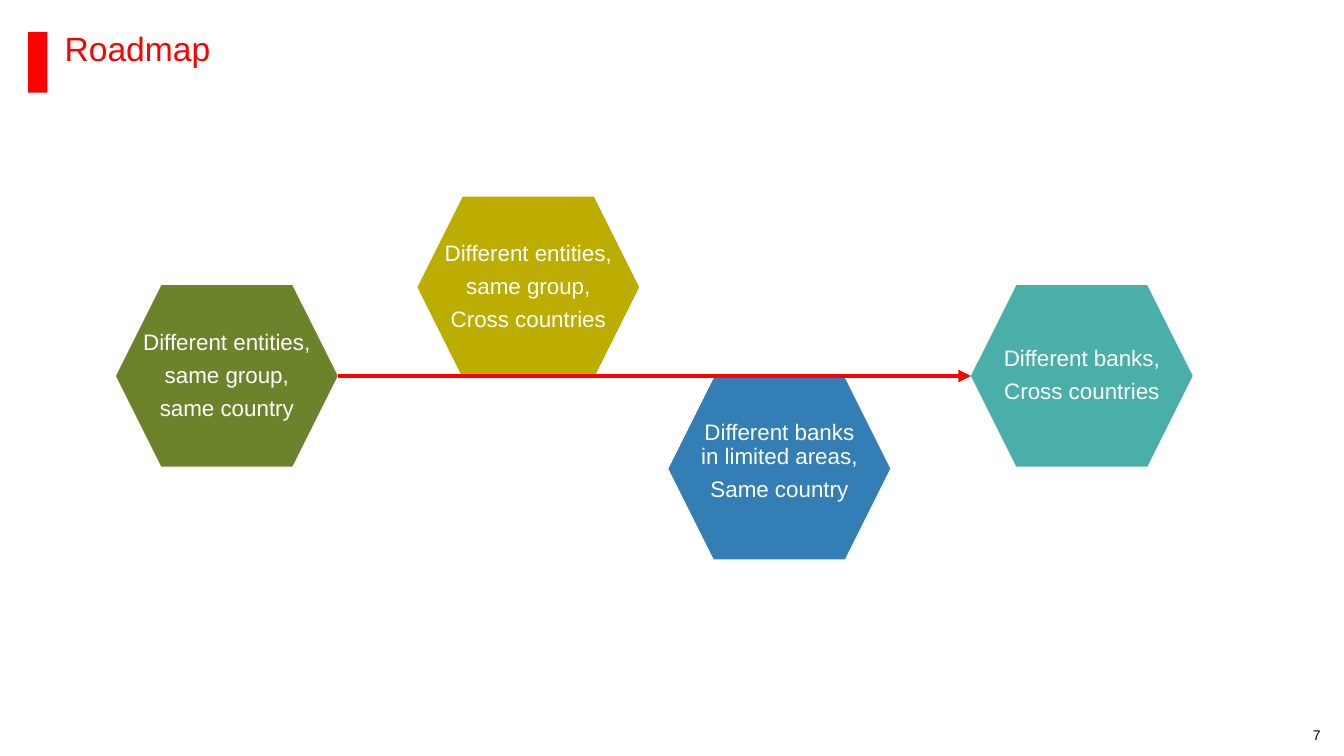
"""Build the Roadmap slide: four hexagon stages along a red arrow."""
from lxml.etree import SubElement
from pptx import Presentation
from pptx.dml.color import RGBColor
from pptx.enum.shapes import MSO_CONNECTOR, MSO_SHAPE
from pptx.enum.text import MSO_ANCHOR, PP_ALIGN
from pptx.oxml.ns import qn
from pptx.util import Inches, Pt

COLORS = {
    "red": "FF0000", "green": "6C832B", "teal": "4BAFA9", "blue": "337FB5",
    "olive": "BCAD00", "white": "FFFFFF", "black": "000000",
}
HEXAGON_WIDTH, HEXAGON_HEIGHT = 2.2, 1.8
LABEL_WIDTH, LABEL_HEIGHT = 1.68, 1.24
ARROW_Y = 3.73

STAGES = [
    ("green", 1.15, 2.83, 0.28, ["Different entities,", "same group,", "same country"]),
    ("teal", 9.63, 2.83, 0.28, ["Different banks,", "Cross countries"]),
    ("blue", 6.63, 3.75, 0.21, ["Different banks in limited areas,", "Same country"]),
    ("olive", 4.14, 1.95, 0.28, ["Different entities,", "same group,", "Cross countries"]),
]


def add_filled_shape(shapes, kind, color, left, top, width, height):
    shape = shapes.add_shape(kind, Inches(left), Inches(top), Inches(width), Inches(height))
    shape.shadow.inherit = False
    shape.fill.solid()
    shape.fill.fore_color.rgb = RGBColor.from_string(COLORS[color])
    shape.line.fill.background()


def add_text(shapes, lines, left, top, width, height, size, color,
             align=PP_ALIGN.CENTER, anchor=MSO_ANCHOR.MIDDLE,
             inset_top=0, inset_bottom=0, spacing=0.9, space_after=0, wrap=True):
    box = shapes.add_textbox(Inches(left), Inches(top), Inches(width), Inches(height))
    frame = box.text_frame
    frame.word_wrap = wrap
    frame.vertical_anchor = anchor
    frame.margin_left = frame.margin_right = 0
    frame.margin_top = Inches(inset_top)
    frame.margin_bottom = Inches(inset_bottom)
    for index, line in enumerate(lines):
        paragraph = frame.add_paragraph() if index else frame.paragraphs[0]
        paragraph.alignment = align
        paragraph.line_spacing = spacing
        paragraph.space_after = Pt(space_after)
        run = paragraph.add_run()
        run.text = line
        run.font.name = "Arial"
        run.font.size = Pt(size)
        run.font.color.rgb = RGBColor.from_string(COLORS[color])


presentation = Presentation()
presentation.slide_width = Inches(13.33)
presentation.slide_height = Inches(7.5)
slide = presentation.slides.add_slide(presentation.slide_layouts[6])

add_filled_shape(slide.shapes, MSO_SHAPE.RECTANGLE, "red", 0.28, 0.32, 0.19, 0.6)
add_text(slide.shapes, ["7"], 12.95, 7.2, 0.22, 0.18, 10, "black", spacing=1.0, wrap=False)
add_text(slide.shapes, ["Roadmap"], 0.64, 0.32, 11.85, 0.69, 24, "red",
         align=PP_ALIGN.LEFT, anchor=MSO_ANCHOR.TOP, inset_bottom=0.02)

for color, left, top, label_offset, lines in STAGES:
    stage = slide.shapes.add_group_shape()
    add_filled_shape(stage.shapes, MSO_SHAPE.HEXAGON, color, left, top,
                     HEXAGON_WIDTH, HEXAGON_HEIGHT)
    add_text(stage.shapes, lines, left + (HEXAGON_WIDTH - LABEL_WIDTH) / 2,
             top + label_offset, LABEL_WIDTH, LABEL_HEIGHT, 16, "white",
             inset_top=0.03, inset_bottom=0.03, space_after=6.3)

arrow = slide.shapes.add_connector(
    MSO_CONNECTOR.STRAIGHT, Inches(3.35), Inches(ARROW_Y), Inches(9.63), Inches(ARROW_Y))
arrow.line.color.rgb = RGBColor.from_string(COLORS["red"])
arrow.line.width = Pt(3)
SubElement(arrow.line._get_or_add_ln(), qn("a:tailEnd"), type="triangle")
SubElement(arrow._element.spPr, qn("a:effectLst"))

presentation.save("out.pptx")
